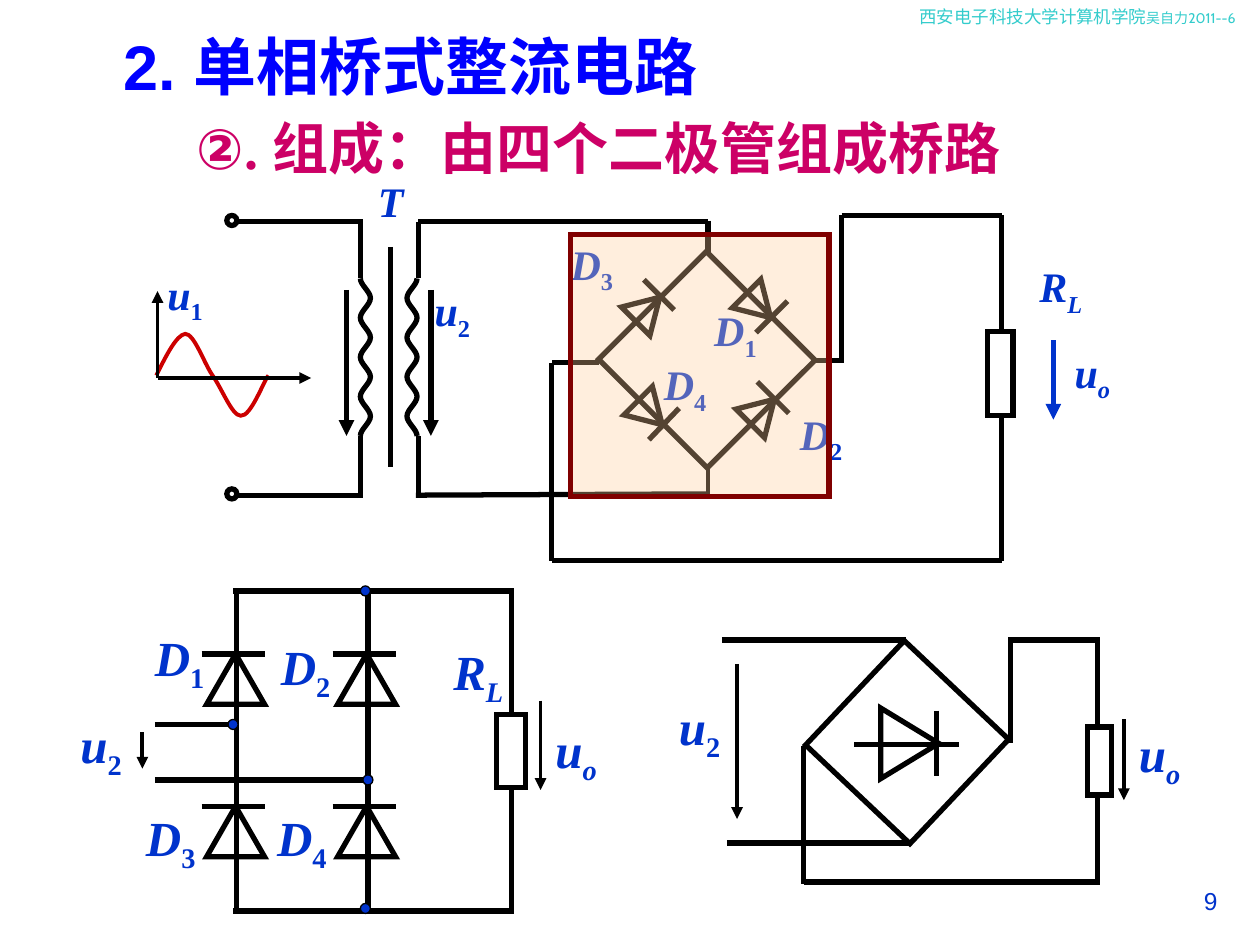
"""Build a slide about the single-phase bridge rectifier circuit."""

from dataclasses import dataclass
from itertools import product

from lxml.etree import SubElement
from pptx import Presentation
from pptx.dml.color import RGBColor
from pptx.enum.shapes import MSO_CONNECTOR, MSO_SHAPE
from pptx.enum.text import MSO_ANCHOR, MSO_AUTO_SIZE, PP_ALIGN
from pptx.oxml.ns import qn
from pptx.util import Emu, Pt

SCALE = 9144
BLACK, BLUE, WHITE = "000000", "0033CC", "FFFFFF"
RECTANGLE, TRIANGLE, CIRCLE = MSO_SHAPE.RECTANGLE, MSO_SHAPE.ISOSCELES_TRIANGLE, MSO_SHAPE.OVAL


@dataclass
class Wire:
    x1: int
    y1: int
    x2: int
    y2: int
    width: float = 3
    color: str = BLACK
    arrow: bool = False


@dataclass
class Part:
    kind: MSO_SHAPE
    left: int
    top: int
    width: int
    height: int
    rotation: float = 0
    fill: str | None = None
    line: str = BLACK
    line_width: float = 3


@dataclass
class Label:
    left: int
    top: int
    symbol: str
    subscript: str
    size: int = 28
    width: int = 62


@dataclass
class Curve:
    points: list[tuple[float, float]]
    color: str = BLACK
    width: float = 3


def make_winding(edge: int, swing: int) -> Curve:
    """Describe a winding of eight equal half waves."""
    points = [(edge, 221)]
    half = 125 / 8
    for index in range(8):
        start, end = (edge, edge + swing)[::1 if index % 2 == 0 else -1]
        top = 221 + half * index
        points += [(start, top + half / 3), (end, top + half * 2 / 3), (end, top + half)]
    return Curve(points)


WAVE = Curve([(124, 298), (132, 282), (140, 266), (147, 265), (154, 265), (161, 286), (168, 297),
              (176, 308), (184, 330), (191, 330), (199, 331), (209, 303), (213, 298)], "CC0000", 2.25)
MAIN_CIRCUIT = [
    Part(CIRCLE, 180, 171, 8, 8), Part(CIRCLE, 180, 388, 8, 8),
    make_winding(286, 8), make_winding(331, -8), WAVE,
    Part(RECTANGLE, 784, 263, 20, 67), Part(RECTANGLE, 500, 225, 122, 121, 45),
    Part(TRIANGLE, 498, 232, 32, 27, 45), Part(TRIANGLE, 589, 313, 32, 27, 45),
    Part(TRIANGLE, 586, 229, 32, 27, 135), Part(TRIANGLE, 500, 314, 32, 27, 135),
    Wire(188, 176, 288, 176), Wire(188, 393, 288, 393), Wire(310, 196, 310, 371),
    Wire(332, 176, 562, 176), Wire(330, 393, 562, 392), Wire(668, 171, 795, 171),
    Wire(438, 445, 795, 445), Wire(286, 175, 286, 221), Wire(286, 346, 286, 392),
    Wire(332, 176, 332, 221), Wire(332, 346, 332, 392), Wire(562, 175, 562, 200),
    Wire(562, 392, 562, 371, 2.25), Wire(511, 222, 535, 246), Wire(601, 303, 626, 328),
    Wire(625, 239, 600, 264), Wire(539, 324, 515, 349), Wire(475, 288, 438, 288),
    Wire(438, 288, 438, 445), Wire(795, 331, 795, 445), Wire(795, 261, 795, 171),
    Wire(668, 171, 668, 288), Wire(646, 286, 668, 286),
    Wire(275, 230, 275, 346, arrow=True), Wire(342, 230, 342, 346, arrow=True),
    Wire(125, 300, 125, 231, 2.25, arrow=True), Wire(125, 300, 247, 300, 2.25, arrow=True),
    Wire(836, 270, 836, 333, color=BLUE, arrow=True),
    Label(123, 208, "u", "1", 24, 61), Label(335, 221, "u", "2", 24, 61),
    Label(290, 134, "T", "", 24, 40), Label(443, 184, "D", "3", 24, 61),
    Label(625, 319, "D", "2", 24, 61), Label(557, 237, "D", "1", 24, 61),
    Label(517, 280, "D", "4", 24, 61), Label(815, 202, "R", "L", 24, 111),
    Label(843, 270, "u", "o", 24, 81),
]
COLUMNS, ROWS = (188, 292), (519, 640)
COLUMN_CIRCUIT = [
    *(Part(TRIANGLE, x - 24, y, 46, 40) for x, y in product(COLUMNS, ROWS)),
    *(Wire(x, 467, x, 723) for x in (*COLUMNS, 406)),
    *(Wire(185, y, 408, y) for y in (469, 723)),
    *(Wire(x - 28, y, x + 22, y) for x, y in product(COLUMNS, ROWS)),
    Wire(123, 575, 188, 575), Wire(123, 619, 290, 619),
    Wire(113, 581, 113, 610, 2.25, arrow=True), Wire(429, 556, 429, 627, 2.25, arrow=True),
    Part(RECTANGLE, 394, 567, 23, 58, fill=WHITE),
    *(Part(CIRCLE, x, y, 8, 8, fill=BLUE, line_width=0.75)
      for x, y in ((286, 465), (181, 571), (288, 615), (286, 717))),
    Label(350, 504, "R", "L", width=73), Label(113, 493, "D", "1"), Label(106, 636, "D", "3"),
    Label(213, 500, "D", "2"), Label(210, 636, "D", "4"), Label(54, 562, "u", "2"),
    Label(431, 566, "u", "o"),
]
SIMPLE_CIRCUIT = [
    Part(RECTANGLE, 663, 532, 114, 114, 313.4, WHITE),
    Part(TRIANGLE, 694, 567, 56, 46, 90, WHITE),
    Wire(761, 591, 678, 591), Wire(743, 564, 743, 616), Wire(573, 508, 719, 508),
    Wire(577, 669, 723, 669), Wire(802, 590, 802, 506), Wire(800, 508, 873, 508),
    Wire(638, 592, 638, 702), Wire(638, 700, 873, 700), Wire(871, 506, 871, 700),
    Wire(585, 527, 585, 650, 2.25, arrow=True), Wire(892, 571, 892, 635, 2.25, arrow=True),
    Part(RECTANGLE, 863, 577, 19, 54, fill=WHITE),
    Label(529, 548, "u", "2", width=60), Label(894, 569, "u", "o", width=67),
]
HIGHLIGHT = Part(RECTANGLE, 453, 186, 205, 208, fill="FFCC99", line="800000")


def px(length: float) -> Emu:
    """Turn px into EMU."""
    return Emu(round(length * SCALE))


def rgb(color: str) -> RGBColor:
    """Turn a hex string into a colour."""
    return RGBColor.from_string(color)


def style_line(shape, color: str, width: float) -> None:
    """Give a shape a plain outline with sharp corners."""
    shape.line.color.rgb = rgb(color)
    shape.line.width = Pt(width)
    SubElement(shape._element.spPr.find(qn("a:ln")), qn("a:miter"), lim="800000")


def draw_wire(shapes, wire: Wire) -> None:
    """Draw a straight line, with an arrowhead at its end if asked for."""
    ends = map(px, (wire.x1, wire.y1, wire.x2, wire.y2))
    connector = shapes.add_connector(MSO_CONNECTOR.STRAIGHT, *ends)
    style_line(connector, wire.color, wire.width)
    properties = connector._element.spPr
    if wire.arrow:
        SubElement(properties.find(qn("a:ln")), qn("a:tailEnd"), type="triangle")
    SubElement(properties, qn("a:effectLst"))


def draw_part(shapes, part: Part):
    """Draw a preset shape and return it."""
    box = map(px, (part.left, part.top, part.width, part.height))
    shape = shapes.add_shape(part.kind, *box)
    shape.rotation = part.rotation
    if part.fill:
        shape.fill.solid()
        shape.fill.fore_color.rgb = rgb(part.fill)
    else:
        shape.fill.background()
    style_line(shape, part.line, part.line_width)
    shape.shadow.inherit = False
    return shape


def draw_curve(shapes, curve: Curve) -> None:
    """Draw an open outline whose points are Bezier ends and controls."""
    start, *rest = [(px(x), px(y)) for x, y in curve.points]
    builder = shapes.build_freeform(*start)
    builder.add_line_segments(rest, close=False)
    shape = builder.convert_to_shape()
    segments = list(shape._element.iter(qn("a:lnTo")))
    outline = segments[0].getparent()
    for index in range(0, len(segments), 3):
        bezier = SubElement(outline, qn("a:cubicBezTo"))
        for segment in segments[index:index + 3]:
            bezier.append(segment[0])
            outline.remove(segment)
    shape.fill.background()
    style_line(shape, curve.color, curve.width)
    shape.shadow.inherit = False


def style_font(font, name: str, size: int, color: str, bold: bool = False) -> None:
    """Set the face, size, colour and weight of a font."""
    font.name, font.size, font.bold = name, Pt(size), bold
    font.color.rgb = rgb(color)


def add_text(shapes, left: int, top: int, width: int, height: int):
    """Add a wrapping text box and return its first paragraph."""
    frame = shapes.add_textbox(*map(px, (left, top, width, height))).text_frame
    frame.word_wrap = True
    return frame.paragraphs[0]


def draw_label(shapes, label: Label) -> None:
    """Draw an italic symbol with its subscript."""
    paragraph = add_text(shapes, label.left, label.top, label.width, label.size * 9 // 4)
    style_font(paragraph.font, "Times New Roman", label.size, BLUE, True)
    symbol = paragraph.add_run()
    symbol.text, symbol.font.italic = label.symbol, True
    if label.subscript:
        subscript = paragraph.add_run()
        subscript.text, subscript.font.italic = label.subscript, label.subscript.isalpha()
        subscript._r.get_or_add_rPr().set("baseline", "-25000")


def place_placeholder(shape, left: int, top: int, width: int, height: int, anchor: MSO_ANCHOR):
    """Move a placeholder and return its first paragraph."""
    shape.left, shape.top, shape.width, shape.height = map(px, (left, top, width, height))
    frame = shape.text_frame
    frame.auto_size, frame.vertical_anchor = MSO_AUTO_SIZE.NONE, anchor
    frame.paragraphs[0].space_before = Pt(0)
    return frame.paragraphs[0]


def draw_texts(slide) -> None:
    """Write the title, the subtitle, the header and the page number."""
    title = place_placeholder(slide.shapes.title, 80, 17, 491, 70, MSO_ANCHOR.MIDDLE)
    title.text, title.alignment = "2. 单相桥式整流电路", PP_ALIGN.CENTER
    style_font(title.font, "Arial", 36, "0000FF", True)
    body = place_placeholder(slide.placeholders[1], 146, 85, 756, 64, MSO_ANCHOR.TOP)
    properties = body._p.get_or_add_pPr()
    properties.set("marL", "0")
    properties.set("indent", "0")
    SubElement(properties, qn("a:buNone"))
    header = add_text(slide.shapes, 720, 0, 280, 27)
    for paragraph, text, name, size, color, bold in (
        (body, "②", "Arial", 32, "CC0066", True),
        (body, ". 组成：由四个二极管组成桥路", "Times New Roman", 32, "CC0066", True),
        (header, "西安电子科技大学计算机学院", "Cabin", 10, "33CCCC", False),
        (header, "吴自力2011--6", "Cabin", 8, "33CCCC", False),
    ):
        run = paragraph.add_run()
        run.text = text
        style_font(run.font, name, size, color, bold)
    number = add_text(slide.shapes, 917, 698, 59, 44)
    number.text, number.alignment = "9", PP_ALIGN.RIGHT
    style_font(number.font, "Arial", 14, BLUE)


def main() -> None:
    """Build and save the presentation."""
    presentation = Presentation()
    presentation.slide_width, presentation.slide_height = px(1000), px(750)
    slide = presentation.slides.add_slide(presentation.slide_layouts[1])
    draw_texts(slide)
    drawers = {Part: draw_part, Wire: draw_wire, Label: draw_label, Curve: draw_curve}
    for circuit in (MAIN_CIRCUIT, COLUMN_CIRCUIT, SIMPLE_CIRCUIT):
        group = slide.shapes.add_group_shape()
        for item in circuit:
            drawers[type(item)](group.shapes, item)
    highlight = draw_part(slide.shapes, HIGHLIGHT)
    tint = highlight._element.spPr.find(qn("a:solidFill"))[0]
    SubElement(tint, qn("a:alpha"), val="33000")
    presentation.save("out.pptx")


if __name__ == "__main__":
    main()
